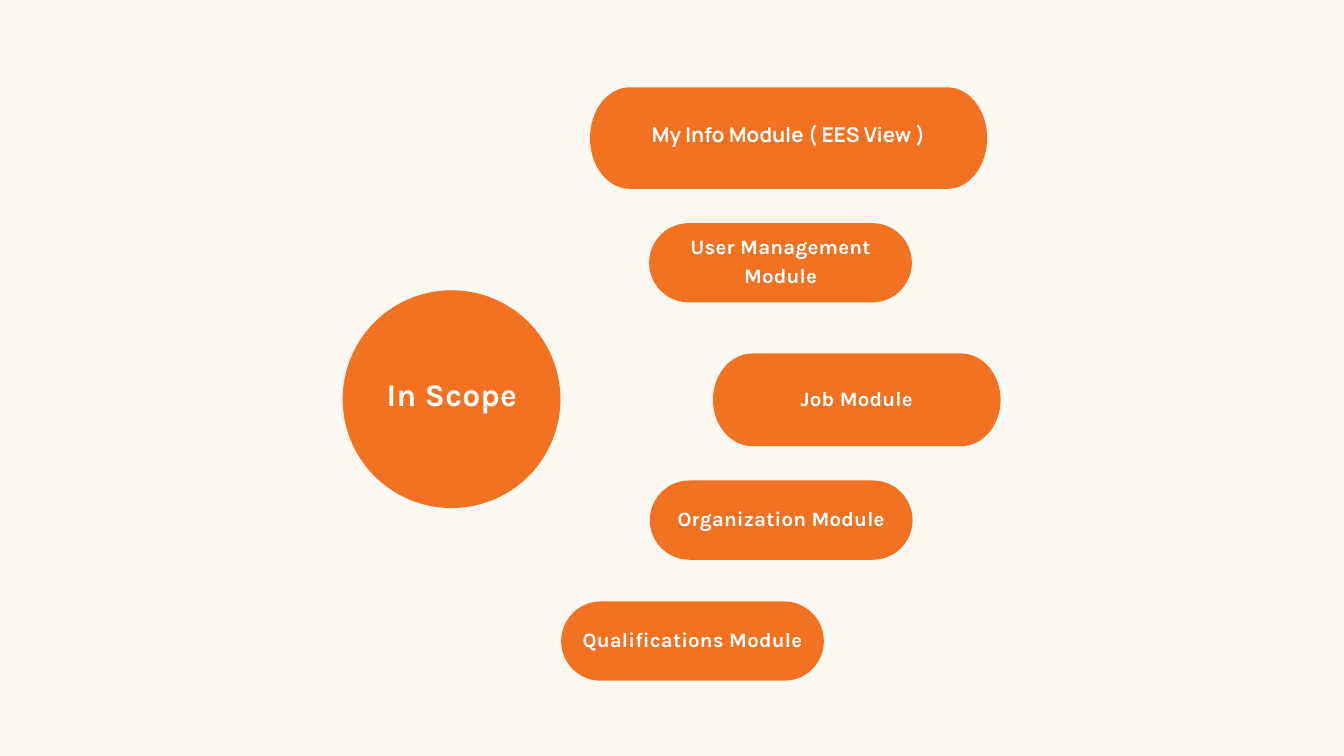
from dataclasses import dataclass
from math import cos, pi, sin

from pptx import Presentation
from pptx.dml.color import RGBColor
from pptx.enum.shapes import MSO_SHAPE
from pptx.enum.text import MSO_ANCHOR, PP_ALIGN
from pptx.util import Inches, Pt

OVAL, ROUNDED = MSO_SHAPE.OVAL, MSO_SHAPE.ROUNDED_RECTANGLE
MIDDLE, CENTER = MSO_ANCHOR.MIDDLE, PP_ALIGN.CENTER

COLS, ROWS = 80, 45
CELL = Inches(0.25)
PILL_W, PILL_H = 15.64, 4.72
CORNER = PILL_H / 2  # every pill has corners this wide


@dataclass(frozen=True)
class Theme:
    background: RGBColor = RGBColor.from_string("FFF9F4")
    accent: RGBColor = RGBColor.from_string("F37221")
    text: RGBColor = RGBColor.from_string("FFFFFF")
    font: str = "Karla"
    alt_font: str = "Manrope"
    hub_size: float = 33.9
    hub_leading: float = 47.5
    pill_size: float = 21.9
    pill_leading: float = 30.7


THEME = Theme()

# text, (column, row, columns, rows), rise of the label box, font
MODULES = [
    ("My Info Module ( EES View )", (35.12, 5.2, 23.64, 6.04), 0.68, THEME.alt_font),
    ("User Management Module", (38.64, 13.28, PILL_W, PILL_H), 0.44, THEME.font),
    ("Job Module", (42.44, 21.04, 17.12, 5.52), 0.44, THEME.font),
    ("Organization Module", (38.68, 28.6, PILL_W, PILL_H), 0.44, THEME.font),
    ("Qualifications Module", (33.4, 35.8, PILL_W, PILL_H), 0.44, THEME.font),
]


def grid(box):
    return [round(n * CELL) for n in box]


def paint(shape):
    shape.shadow.inherit = False
    shape.fill.solid()
    shape.fill.fore_color.rgb = THEME.accent
    shape.line.fill.background()


def add_label(s, text, box, font, size, leading, spacing):
    """Spacing between letters is in hundredths of a point."""
    tf = s.shapes.add_textbox(*grid(box)).text_frame
    tf.word_wrap = True
    tf.vertical_anchor = MIDDLE
    tf.margin_left = tf.margin_right = tf.margin_top = tf.margin_bottom = Inches(0.06)
    p = tf.paragraphs[0]
    r = p.add_run()
    r.text = text
    r.font._element.set("spc", str(spacing))
    p.alignment = CENTER
    p.line_spacing = Pt(leading)
    p.font.name = font
    p.font.size = Pt(size)
    p.font.bold = True
    p.font.color.rgb = THEME.text


def add_tall_pill(s, box, steps=32):
    """Outline with half-ellipse ends, narrower than they are tall."""
    x, y, w, h = box
    points = []
    for center, start in ((x + w - CORNER, -pi / 2), (x + CORNER, pi / 2)):
        for i in range(steps + 1):
            a = start + pi * i / steps
            points.append(grid((center + CORNER * cos(a), y + h / 2 * (1 + sin(a)))))
    outline = s.shapes.build_freeform(*points[0])
    outline.add_line_segments(points[1:], close=True)
    return outline.convert_to_shape()


def add_module(s, text, box, rise, font):
    x, y, w, h = box
    if h == PILL_H:
        pill = s.shapes.add_shape(ROUNDED, *grid(box))
        pill.adjustments[0] = 0.5
    else:
        pill = add_tall_pill(s, box)
    paint(pill)
    add_label(s, text, (x, y - rise, w, h + rise), font,
              THEME.pill_size, THEME.pill_leading, 20)


def add_hub(s, text, box):
    x, y, w, h = box
    paint(s.shapes.add_shape(OVAL, *grid(box)))
    add_label(s, text, (x + 1.24, y + 0.16, w - 2.44, h - 1.36), THEME.font,
              THEME.hub_size, THEME.hub_leading, 30)


def main():
    prs = Presentation()
    prs.slide_width, prs.slide_height = COLS * CELL, ROWS * CELL
    s = prs.slides.add_slide(prs.slide_layouts[6])
    s.background.fill.solid()
    s.background.fill.fore_color.rgb = THEME.background
    add_hub(s, "In Scope", (20.4, 17.28, 12.96, 12.96))
    for module in MODULES:
        add_module(s, *module)
    prs.save("out.pptx")


if __name__ == "__main__":
    main()
